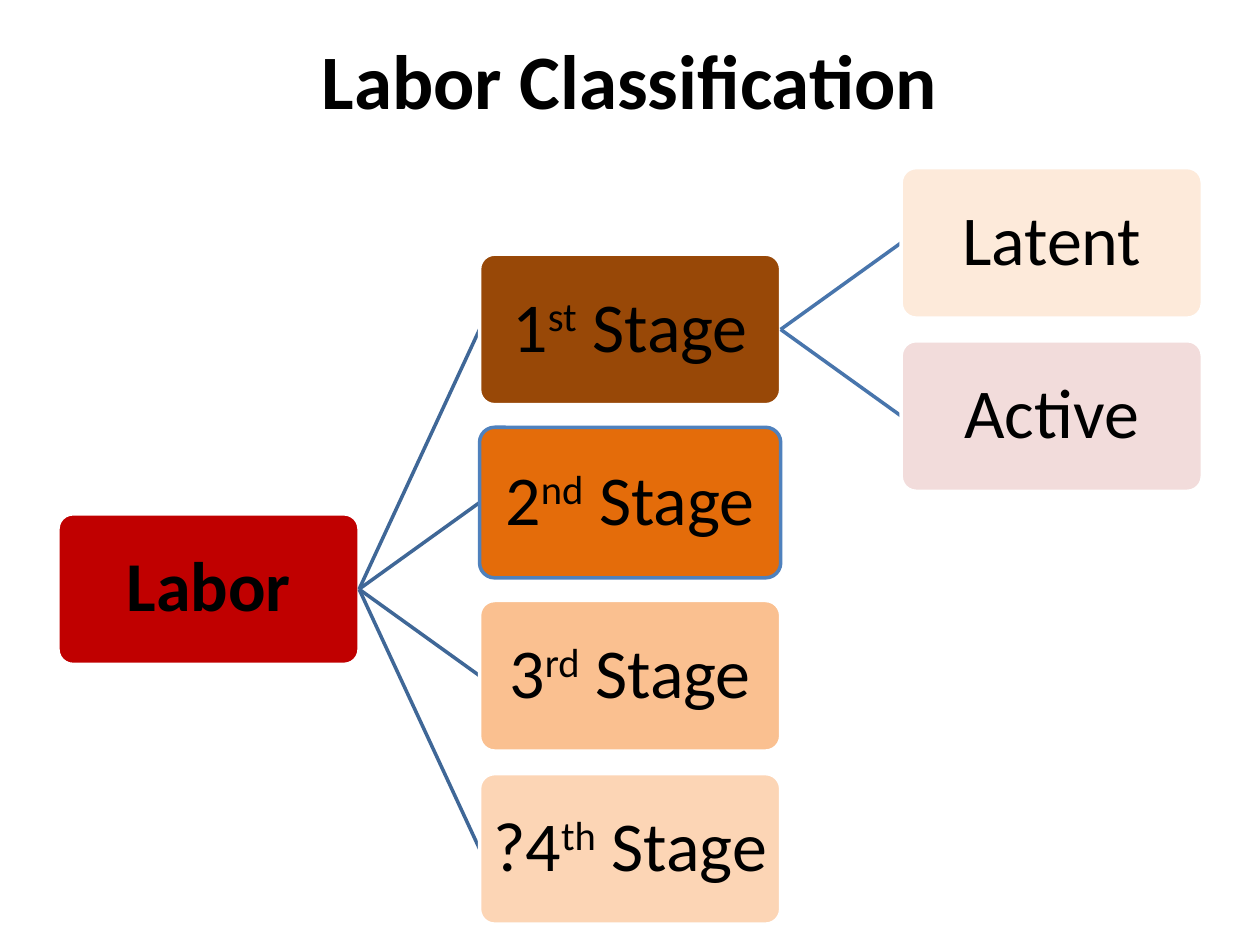
import pptx
import pptx.util
import pptx.dml.color
import pptx.enum.shapes
import pptx.enum.text
import pptx.oxml

Inches = pptx.util.Inches
RGB = pptx.dml.color.RGBColor.from_string
CENTER = pptx.enum.text.PP_ALIGN.CENTER
MIDDLE = pptx.enum.text.MSO_ANCHOR.MIDDLE

THEME = {
    "font": "Calibri", "title_size": 44, "box_size": 40, "text": "000000",
    "edge": "FFFFFF", "accent_edge": "4F81BD", "line_width": 2,
    "stage_link": "3F6797", "phase_link": "4875AC",
}

# Tree grid: boxes are twice as wide as high, gaps are shares of the box
LEFT, TOP = 0.46, 1.33
BOX_WIDTH = 2.39
BOX_HEIGHT = BOX_WIDTH / 2
COLUMN = BOX_WIDTH * 1.4
ROW = BOX_HEIGHT * 1.15
RIGHT_SIDE, LEFT_SIDE = 3, 1

# key: (column, row, fill, edge, parent, link colour, text runs)
BOXES = {
    "Labor": (0, 2, "C00000", "edge", None, None, ["Labor"]),
    "First": (1, 0.5, "984807", "edge", "Labor", "stage_link", ["1", "st", " Stage"]),
    "Latent": (2, 0, "FDEADA", "edge", "First", "phase_link", ["Latent"]),
    "Active": (2, 1, "F2DCDB", "edge", "First", "phase_link", ["Active"]),
    "Second": (1, 1.5, "E46C0A", "accent_edge", "Labor", "stage_link", ["2", "nd", " Stage"]),
    "Third": (1, 2.5, "FAC090", "edge", "Labor", "stage_link", ["3", "rd", " Stage"]),
    "Fourth": (1, 3.5, "FCD5B5", "edge", "Labor", "stage_link", ["?4", "th", " Stage"]),
}


def add_run(paragraph, text, size, bold):
    run = paragraph.add_run()
    run.text = text
    run.font.color.rgb = RGB(THEME["text"])
    font_format = {"name": THEME["font"], "size": pptx.util.Pt(size), "bold": bold}
    for name, value in font_format.items():
        setattr(run.font, name, value)
    return run


def format_line(line, color):
    line.color.rgb = RGB(color)
    line.width = pptx.util.Pt(THEME["line_width"])


presentation = pptx.Presentation()
presentation.slide_width, presentation.slide_height = Inches(10), Inches(7.5)
slide = presentation.slides.add_slide(presentation.slide_layouts[5])

# Title
title = slide.shapes.title
title_format = {"left": Inches(0.5), "top": 0, "width": Inches(9), "height": Inches(1.25)}
for name, value in title_format.items():
    setattr(title, name, value)
title.text_frame.vertical_anchor = MIDDLE
title_paragraph = title.text_frame.paragraphs[0]
title_paragraph.alignment = CENTER
add_run(title_paragraph, "Labor Classification", THEME["title_size"], True)

# Tree boxes, each linked to its parent
shapes = {}
for key, (column, row, fill, edge, parent, link, texts) in BOXES.items():
    shape = slide.shapes.add_shape(
        pptx.enum.shapes.MSO_SHAPE.ROUNDED_RECTANGLE,
        Inches(LEFT + column * COLUMN), Inches(TOP + row * ROW),
        Inches(BOX_WIDTH), Inches(BOX_HEIGHT))
    shapes[key] = shape
    shape.adjustments[0] = 0.1
    shape.shadow.inherit = False
    shape.fill.solid()
    shape.fill.fore_color.rgb = RGB(fill)
    format_line(shape.line, THEME[edge])

    # Label, with the ordinal ending raised
    frame_format = {"word_wrap": True, "vertical_anchor": MIDDLE}
    for side in ("left", "right", "top", "bottom"):
        frame_format["margin_" + side] = Inches(0.03)
    for name, value in frame_format.items():
        setattr(shape.text_frame, name, value)
    paragraph = shape.text_frame.paragraphs[0]
    paragraph.alignment = CENTER
    paragraph.line_spacing = 0.9
    for index, text in enumerate(texts):
        run = add_run(paragraph, text, THEME["box_size"], parent is None)
        if index == 1:
            run._r.get_or_add_rPr().set("baseline", "30000")

    # Link from the parent's right side to this box's left side
    if parent:
        connector = slide.shapes.add_connector(
            pptx.enum.shapes.MSO_CONNECTOR.STRAIGHT,
            shapes[parent].left + shapes[parent].width,
            shapes[parent].top + shapes[parent].height // 2,
            shape.left, shape.top + shape.height // 2)
        connector.begin_connect(shapes[parent], RIGHT_SIDE)
        connector.end_connect(shape, LEFT_SIDE)
        format_line(connector.line, THEME[link])
        connector._element.spPr.append(pptx.oxml.parse_xml(
            '<a:effectLst xmlns:a="http://schemas.openxmlformats.org/drawingml/2006/main"/>'))
        shape._element.addprevious(connector._element)

presentation.save("out.pptx")
